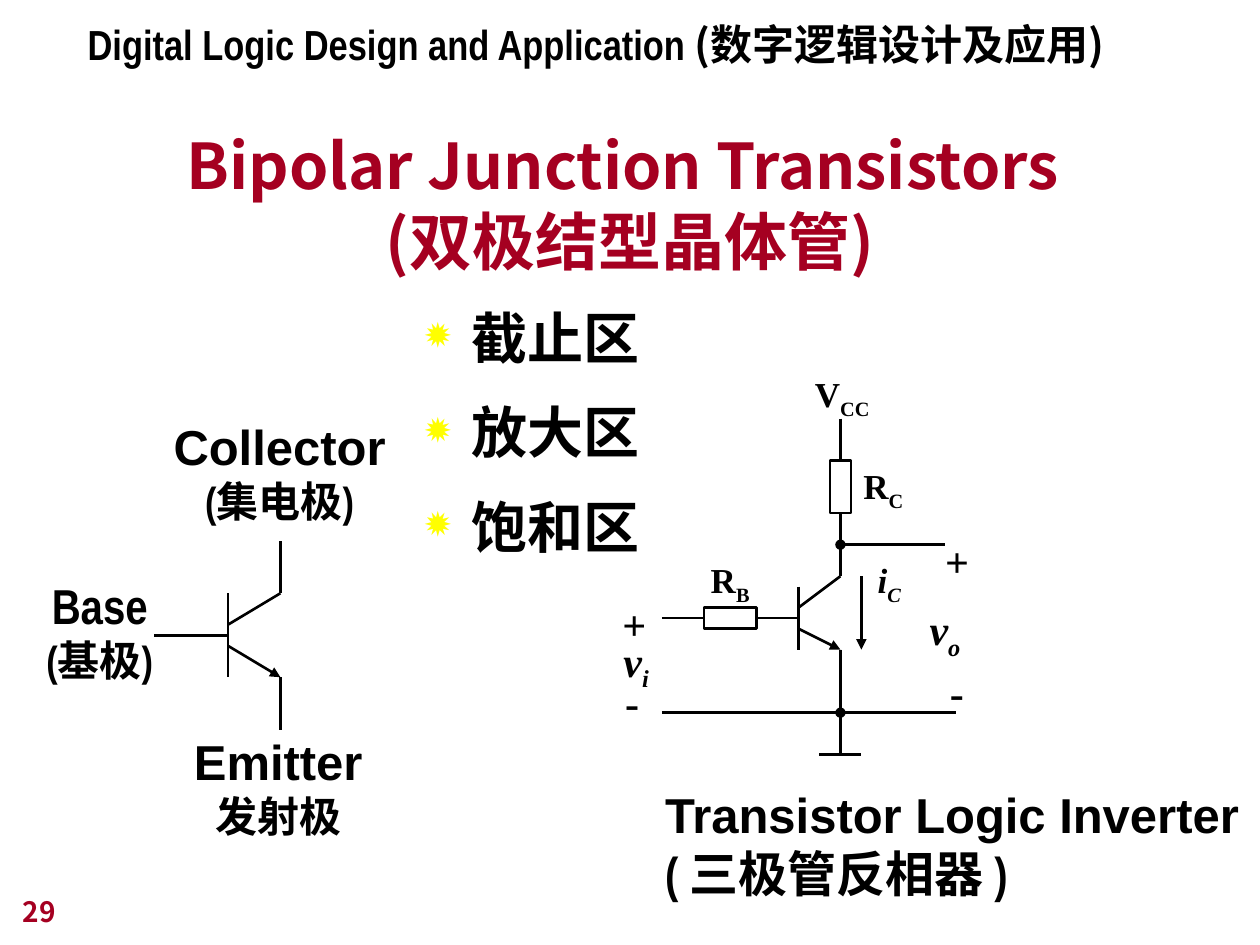
import pptx
import pptx.util
import pptx.dml.color
import pptx.enum.text
import pptx.enum.shapes
import lxml.etree
import pptx.oxml.ns

Pt = pptx.util.Pt
qn = pptx.oxml.ns.qn
ALIGN = pptx.enum.text.PP_ALIGN
ANCHOR = pptx.enum.text.MSO_ANCHOR
FIT = pptx.enum.text.MSO_AUTO_SIZE
BLACK = pptx.dml.color.RGBColor(0x00, 0x00, 0x00)
CRIMSON = pptx.dml.color.RGBColor(0xA5, 0x00, 0x21)
YELLOW = pptx.dml.color.RGBColor(0xFF, 0xFF, 0x00)

presentation = pptx.Presentation()
presentation.slide_width = Pt(720)
presentation.slide_height = Pt(540)
slide = presentation.slides.add_slide(presentation.slide_layouts[5])


def add_text(box, paragraphs, wrap=False, align=ALIGN.CENTER):
    shape = slide.shapes.add_textbox(*[Pt(value) for value in box])
    frame = shape.text_frame
    frame.word_wrap = wrap
    frame.auto_size = FIT.NONE if wrap else FIT.SHAPE_TO_FIT_TEXT
    for index, runs in enumerate(paragraphs):
        paragraph = frame.paragraphs[0] if index == 0 else frame.add_paragraph()
        paragraph.alignment = align
        for text, font, size, *options in runs:
            run = paragraph.add_run()
            run.text = text
            values = {"name": font, "size": Pt(size), "bold": True, "italic": "italic" in options}
            for key, value in values.items():
                setattr(run.font, key, value)
            run.font.color.rgb = BLACK
            if "subscript" in options:
                run._r.get_or_add_rPr().set("baseline", "-25000")
    return shape


def add_line(x1, y1, x2, y2, **ends):
    connector = slide.shapes.add_connector(
        pptx.enum.shapes.MSO_CONNECTOR.STRAIGHT, Pt(x1), Pt(y1), Pt(x2), Pt(y2))
    connector.line.color.rgb = BLACK
    connector.line.width = Pt(1.5)
    properties = connector._element.spPr
    line = properties.find(qn("a:ln"))
    for end in ("headEnd", "tailEnd"):
        if end in ends:
            lxml.etree.SubElement(line, qn("a:" + end), type=ends[end])
    lxml.etree.SubElement(properties, qn("a:effectLst"))
    return connector


title = slide.shapes.title
title.left, title.top, title.width, title.height = Pt(54), Pt(60.5), Pt(612), Pt(102)
title.text_frame.text = "Bipolar Junction Transistors \v(双极结型晶体管)"
title.text_frame.auto_size = FIT.NONE
title.text_frame.vertical_anchor = ANCHOR.BOTTOM
paragraph = title.text_frame.paragraphs[0]
paragraph.alignment = ALIGN.CENTER
for font in [paragraph.font] + [run.font for run in paragraph.runs]:
    for key, value in {"name": "Noto Sans CJK JP", "size": Pt(36), "bold": True}.items():
        setattr(font, key, value)
    font.color.rgb = CRIMSON

regions = add_text((235.5, 162, 276, 234),
                   [[(text, "Arial", 32)] for text in ("截止区", "放大区", "饱和区")],
                   wrap=True, align=ALIGN.LEFT)
for index, paragraph in enumerate(regions.text_frame.paragraphs):
    paragraph.line_spacing = 1.2
    paragraph.space_before = Pt(8 if index else 0)
    properties = paragraph._p.get_or_add_pPr()
    properties.set("marL", str(Pt(27)))
    properties.set("indent", str(-Pt(27)))
    bullet_color = lxml.etree.SubElement(properties, qn("a:buClr"))
    lxml.etree.SubElement(bullet_color, qn("a:srgbClr"), val=str(YELLOW))
    lxml.etree.SubElement(properties, qn("a:buSzPct"), val="80000")
    lxml.etree.SubElement(properties, qn("a:buChar"), char="✹")
    for key, value in {"name": "Arial", "size": Pt(32), "bold": True}.items():
        setattr(paragraph.font, key, value)

symbol_lines = [
    (130.25, 339, 130.25, 387, {}),
    (130.25, 369, 160.25, 387, {"tailEnd": "triangle"}),
    (130.25, 357, 160.25, 339, {}),
    (160.25, 339, 160.25, 309, {}),
    (160.25, 387, 160.25, 417, {}),
    (130.25, 363, 88.25, 363, {}),
]
inverter_lines = [
    (456.25, 335.25, 456.25, 371.25, {}),
    (456.25, 347.25, 480.25, 329.25, {}),
    (456.25, 359.25, 480.25, 371.25, {"tailEnd": "triangle"}),
    (480.25, 371.25, 480.25, 407.25, {"tailEnd": "oval"}),
    (480.25, 311.25, 540.25, 311.25, {"headEnd": "oval"}),
    (378.25, 407.25, 546.25, 407.25, {}),
    (480.25, 407.25, 480.25, 431.25, {}),
    (468.25, 431.25, 492.25, 431.25, {}),
    (492.25, 329.25, 492.25, 371.25, {"tailEnd": "triangle"}),
]
for *points, ends in symbol_lines + inverter_lines:
    add_line(*points, **ends)

resistors = [
    ((474.25, 263.25, 12, 30), [(0, 480.25, 239.25), (2, 480.25, 329.25)]),
    ((402.25, 347.25, 30, 12), [(1, 378.25, 353.25), (3, 456.25, 353.25)]),
]
for box, leads in resistors:
    resistor = slide.shapes.add_shape(
        pptx.enum.shapes.MSO_SHAPE.RECTANGLE, *[Pt(value) for value in box])
    resistor.shadow.inherit = False
    resistor.fill.background()
    resistor.line.color.rgb = BLACK
    resistor.line.width = Pt(1.5)
    for site, x, y in leads:
        add_line(x, y, x, y).end_connect(resistor, site)

terminals = [
    ((13.5, 325.5, 87, 70), "Base", "Arial Narrow", "(基极)"),
    ((92, 234.5, 135.5, 70), "Collector", "Arial", "(集电极)"),
    ((103.5, 414.5, 111, 70), "Emitter", "Arial", "发射极"),
]
for box, name, font, translation in terminals:
    add_text(box, [[(name, font, 28)], [(translation, "Arial Narrow", 24)]])

circuit_labels = [
    ((458.5, 209.5, 45.5, 34.5), "V", "CC", 20, []),
    ((399, 315.5, 36.5, 34.5), "R", "B", 20, []),
    ((486, 262, 37.5, 34.5), "R", "C", 20, []),
    ((494.5, 315.5, 27.5, 34.5), "i", "C", 20, ["italic"]),
    ((520, 341.5, 40, 40.5), "v", "o", 24, ["italic"]),
    ((347.5, 359.5, 32, 40.5), "v", "i", 24, ["italic"]),
    ((533, 302.5, 28, 36), "+", "", 24, []),
    ((535.5, 377.5, 22.5, 36), "-", "", 24, []),
    ((348.5, 338.5, 28, 36), "+", "", 24, []),
    ((350, 383, 22.5, 36), "-", "", 24, []),
]
for box, letter, subscript, size, style in circuit_labels:
    runs = [(letter, "Times New Roman", size, *style)]
    if subscript:
        runs.append((subscript, "Times New Roman", size, "subscript", *style))
    add_text(box, [runs])

add_text((373, 445, 343.5, 75),
         [[("Transistor Logic Inverter", "Arial", 28)],
          [("( 三极管反相器 )", "Arial Narrow", 28)]], align=ALIGN.LEFT)
add_text((43, 7.2, 605.5, 36),
         [[("Digital Logic Design and Application ", "Arial Narrow", 24),
           ("(数字逻辑设计及应用)", "Noto Sans CJK JP", 24)]], wrap=True, align=ALIGN.LEFT)

page_number = add_text((6, 498, 150, 36), [[("29", "Noto Sans CJK JP", 16)]],
                       wrap=True, align=ALIGN.LEFT)
page_number.text_frame.vertical_anchor = ANCHOR.BOTTOM
page_number.text_frame.paragraphs[0].runs[0].font.color.rgb = CRIMSON

presentation.save("out.pptx")
